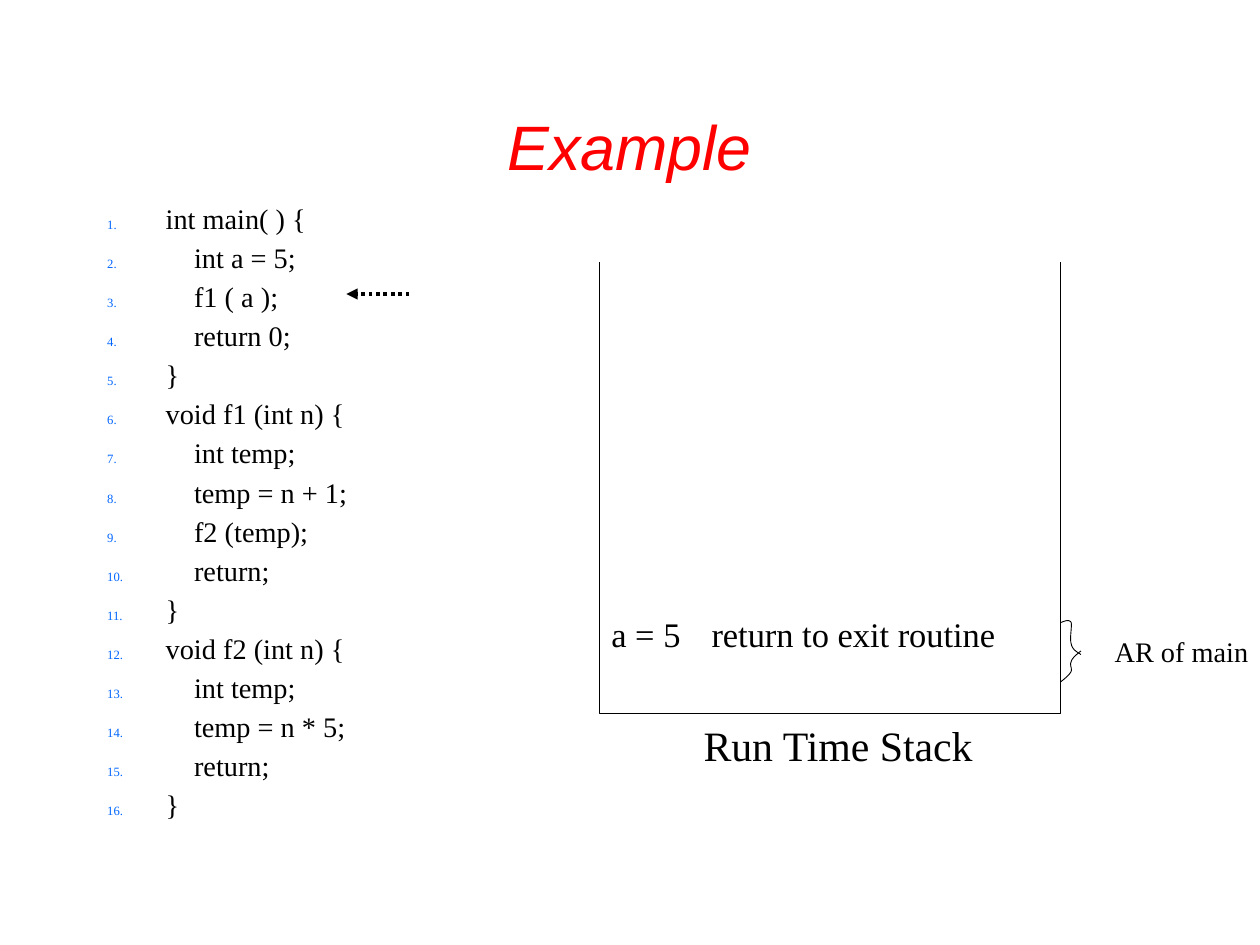
from pptx import Presentation
from pptx.dml.color import RGBColor as Rgb
from pptx.enum.dml import MSO_LINE as Dash
from pptx.enum.shapes import MSO_CONNECTOR as Conn
from pptx.enum.text import MSO_ANCHOR as Anchor, PP_ALIGN as Align
from pptx.oxml.ns import qn
from pptx.util import Pt
from lxml.etree import SubElement as Sub

SCALE = 9144
INK = "000000"
SERIF = "Times New Roman"
CODE = [
    "int main( ) {", "int a = 5;", "f1 ( a );", "return 0;", "}",
    "void f1 (int n) {", "int temp;", "temp = n + 1;", "f2 (temp);", "return;", "}",
    "void f2 (int n) {", "int temp;", "temp = n * 5;", "return;", "}",
]
WALL = [(676, 296), (676, 806), (1197, 806), (1197, 296)]
BRACE = [
    [(1220, 739), (1215, 736), (1210, 733), (1209, 727), (1207, 721),
     (1210, 707), (1209, 703), (1207, 699), (1202, 701), (1197, 703)],
    [(1220, 735), (1215, 739), (1210, 743), (1209, 747), (1207, 751),
     (1210, 754), (1209, 758), (1207, 762), (1202, 766), (1197, 770)],
]


def px(n):
    return round(n * SCALE)


def tint(code):
    return Rgb.from_string(code)


def add_text(slide, box, lines, size, face=SERIF, color=INK, align=Align.LEFT,
             pad=(14, 7), wrap=True):
    shape = slide.shapes.add_textbox(*map(px, box))
    frame = shape.text_frame
    frame.word_wrap = wrap
    frame.margin_left = frame.margin_right = px(pad[0])
    frame.margin_top = frame.margin_bottom = px(pad[1])
    frame.text = "\n".join(lines)
    for para in frame.paragraphs:
        para.alignment = align
        for run in para.runs:
            run.font.size = Pt(size)
            run.font.name = face
            run.font.color.rgb = tint(color)
    return frame


def add_title(slide):
    frame = add_text(slide, (284, 71, 853, 142), ["Example"], 51, "Arial",
                     "FF0000", Align.CENTER, (6, 6))
    frame.vertical_anchor = Anchor.BOTTOM
    frame.paragraphs[0].runs[0].font.italic = True


def number(para, left):
    props = para._p.get_or_add_pPr()
    props.set("marL", str(px(left)))
    props.set("indent", str(-px(left)))
    Sub(Sub(props, qn("a:buClr")), qn("a:srgbClr"), val="0066FF")
    Sub(props, qn("a:buSzPct"), val="45000")
    Sub(props, qn("a:buFont"), typeface=SERIF)
    Sub(props, qn("a:buAutoNum"), type="arabicPeriod")


def add_code(slide):
    frame = add_text(slide, (107, 225, 1209, 640), CODE, 23)
    for para in frame.paragraphs:
        para.line_spacing = 0.9
        para.space_before = Pt(6.9)
        outer = para.text.endswith(("{", "}"))
        number(para, 66 if outer else 98)


def add_arrow(slide, start, end):
    arrow = slide.shapes.add_connector(Conn.STRAIGHT, *map(px, start + end))
    arrow.line.color.rgb = tint(INK)
    arrow.line.width = Pt(3)
    arrow.line.dash_style = Dash.ROUND_DOT
    Sub(arrow.line._get_or_add_ln(), qn("a:tailEnd"), type="triangle")
    Sub(arrow._element.spPr, qn("a:effectLst"))


def add_path(shapes, points):
    spots = [(px(x), px(y)) for x, y in points]
    pen = shapes.build_freeform(*spots[0])
    pen.add_line_segments(spots[1:], close=False)
    shape = pen.convert_to_shape()
    shape.shadow.inherit = False
    shape.fill.background()
    shape.line.color.rgb = tint(INK)
    shape.line.width = Pt(0.75)


def blend(a, b, c, d, t):
    u = 1 - t
    return u**3 * a + 3 * u * u * t * b + 3 * u * t * t * c + t**3 * d


def curve(knots, steps=10):
    points = [knots[0]]
    for i in range(0, len(knots) - 1, 3):
        xs, ys = zip(*knots[i:i + 4])
        points += [(blend(*xs, k / steps), blend(*ys, k / steps))
                   for k in range(1, steps + 1)]
    return points


def add_frame(slide):
    frame = add_text(slide, (676, 685, 521, 61), ["a = 5\treturn to exit routine"], 28)
    tabs = Sub(frame.paragraphs[0]._p.get_or_add_pPr(), qn("a:tabLst"))
    Sub(tabs, qn("a:tab"), pos=str(px(113)), algn="l")


def add_brace(slide):
    group = slide.shapes.add_group_shape()
    for knots in BRACE:
        add_path(group.shapes, curve(knots))


def main():
    deck = Presentation()
    deck.slide_width, deck.slide_height = px(1422), px(1067)
    slide = deck.slides.add_slide(deck.slide_layouts[6])
    add_title(slide)
    add_code(slide)
    add_text(slide, (779, 806, 334, 71), ["Run Time Stack"], 34,
             align=Align.CENTER, wrap=False)
    add_arrow(slide, (462, 332), (391, 332))
    add_frame(slide)
    add_path(slide.shapes, WALL)
    add_brace(slide)
    add_text(slide, (1247, 711, 173, 49), ["AR of main"], 23,
             align=Align.CENTER, pad=(10, 5), wrap=False)
    deck.save("out.pptx")


if __name__ == "__main__":
    main()
